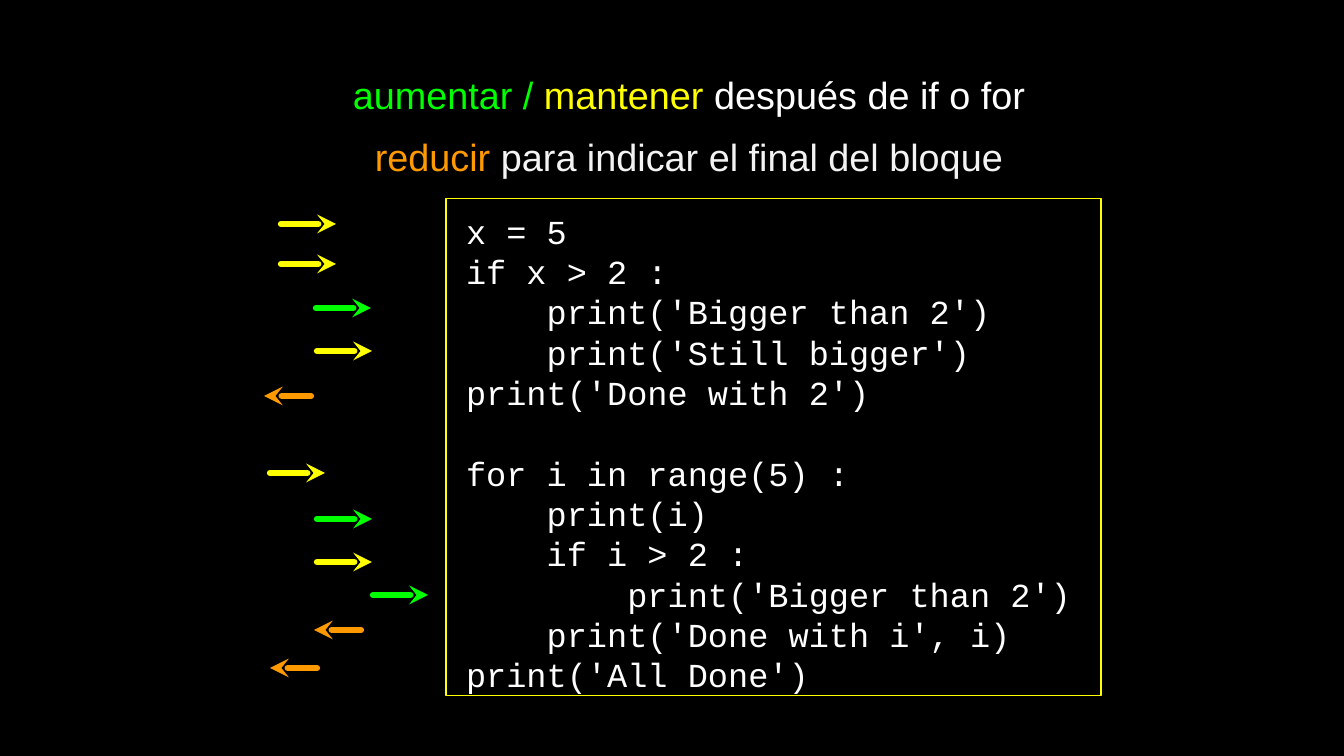
from dataclasses import dataclass

from lxml import etree
from pptx import Presentation
from pptx.dml.color import RGBColor
from pptx.enum.shapes import MSO_CONNECTOR, MSO_SHAPE
from pptx.enum.text import MSO_ANCHOR, PP_ALIGN
from pptx.oxml.ns import qn
from pptx.util import Emu, Pt

STRAIGHT = MSO_CONNECTOR.STRAIGHT
RECTANGLE = MSO_SHAPE.RECTANGLE
MIDDLE = MSO_ANCHOR.MIDDLE
LEFT, CENTER = PP_ALIGN.LEFT, PP_ALIGN.CENTER

EMU_PER_PX = 914400 / 75.6
COLORS = {
    "background": "000000",
    "increase": "00FF00",
    "maintain": "FFFF00",
    "reduce": "FF9900",
    "text": "FFFFFF",
    "soft": "F3F3F3",
}
TIP_OFFSET = {"increase": 55, "maintain": 55, "reduce": -47}


@dataclass(frozen=True)
class Span:
    text: str
    color: str


@dataclass(frozen=True)
class Line:
    spans: tuple[Span, ...]
    format: dict


@dataclass(frozen=True)
class Style:
    font: str
    size: int
    insets: dict


@dataclass(frozen=True)
class Arrow:
    tail: int
    y: int
    kind: str


TITLE_STYLE = Style("Arial", 36, {"margin_bottom": 11})
TITLE = [
    Line(
        (
            Span("aumentar / ", "increase"),
            Span("mantener ", "maintain"),
            Span("después de if o for", "text"),
        ),
        {"alignment": CENTER},
    ),
    Line(
        (Span("reducir ", "reduce"), Span("para indicar el final del bloque", "soft")),
        {"alignment": CENTER, "space_before": Pt(16)},
    ),
]

CODE_STYLE = Style("Courier New", 32, {"margin_left": 20, "margin_top": 10})
CODE_PITCH = Pt(38.4)
CODE_BLOCKS = [
    """x = 5
if x > 2 :
    print('Bigger than 2')
    print('Still bigger')
print('Done with 2')""",
    """for i in range(5) :
    print(i)
    if i > 2 :
        print('Bigger than 2')
    print('Done with i', i)
print('All Done')""",
]

ARROWS = [
    Arrow(281, 224, "maintain"),
    Arrow(281, 264, "maintain"),
    Arrow(316, 308, "increase"),
    Arrow(317, 351, "maintain"),
    Arrow(311, 396, "reduce"),
    Arrow(270, 473, "maintain"),
    Arrow(317, 519, "increase"),
    Arrow(317, 562, "maintain"),
    Arrow(373, 595, "increase"),
    Arrow(361, 630, "reduce"),
    Arrow(317, 668, "reduce"),
]


def px(value: int) -> Emu:
    return Emu(round(value * EMU_PER_PX))


def rgb(name: str) -> RGBColor:
    return RGBColor.from_string(COLORS[name])


def set_all(target, values: dict) -> None:
    for name, value in values.items():
        setattr(target, name, value)


def code_lines() -> list[Line]:
    lines = []
    for block_index, block in enumerate(CODE_BLOCKS):
        for row, text in enumerate(block.splitlines()):
            gap = CODE_PITCH if block_index and row == 0 else Pt(0)
            values = {"alignment": LEFT, "line_spacing": CODE_PITCH, "space_before": gap}
            lines.append(Line((Span(text, "text"),), values))
    return lines


def write_lines(box, lines: list[Line], style: Style) -> None:
    frame = box.text_frame
    insets = dict.fromkeys(("margin_left", "margin_top", "margin_right", "margin_bottom"), 0)
    insets.update(style.insets)
    set_all(frame, {name: px(value) for name, value in insets.items()})
    set_all(frame, {"word_wrap": True, "vertical_anchor": MIDDLE})
    for index, line in enumerate(lines):
        para = frame.add_paragraph() if index else frame.paragraphs[0]
        set_all(para, line.format)
        for span in line.spans:
            run = para.add_run()
            run.text = span.text
            set_all(run.font, {"name": style.font, "size": Pt(style.size), "bold": False})
            run.font.color.rgb = rgb(span.color)


def draw_code(page) -> None:
    box = page.shapes.add_shape(RECTANGLE, px(446), px(199), px(655), px(497))
    box.shadow.inherit = False
    box.fill.background()
    box.line.color.rgb = rgb("maintain")
    box.line.width = Pt(1)
    write_lines(box, code_lines(), CODE_STYLE)


def draw_title(page) -> None:
    box = page.shapes.add_textbox(px(342), px(79), px(694), px(104))
    write_lines(box, TITLE, TITLE_STYLE)


def draw_arrow(page, arrow: Arrow) -> None:
    tip = arrow.tail + TIP_OFFSET[arrow.kind]
    connector = page.shapes.add_connector(
        STRAIGHT, px(tip), px(arrow.y), px(arrow.tail), px(arrow.y)
    )
    connector.line.color.rgb = rgb(arrow.kind)
    connector.line.width = Pt(6)
    outline = connector.line._get_or_add_ln()
    outline.set("cap", "rnd")
    etree.SubElement(outline, qn("a:round"))
    etree.SubElement(outline, qn("a:headEnd"), type="stealth")
    etree.SubElement(connector._element.spPr, qn("a:effectLst"))


def main() -> None:
    deck = Presentation()
    set_all(deck, {"slide_width": px(1344), "slide_height": px(756)})
    page = deck.slides.add_slide(deck.slide_layouts[6])
    page.background.fill.solid()
    page.background.fill.fore_color.rgb = rgb("background")
    draw_code(page)
    for arrow in ARROWS:
        draw_arrow(page, arrow)
    draw_title(page)
    deck.save("out.pptx")


if __name__ == "__main__":
    main()
